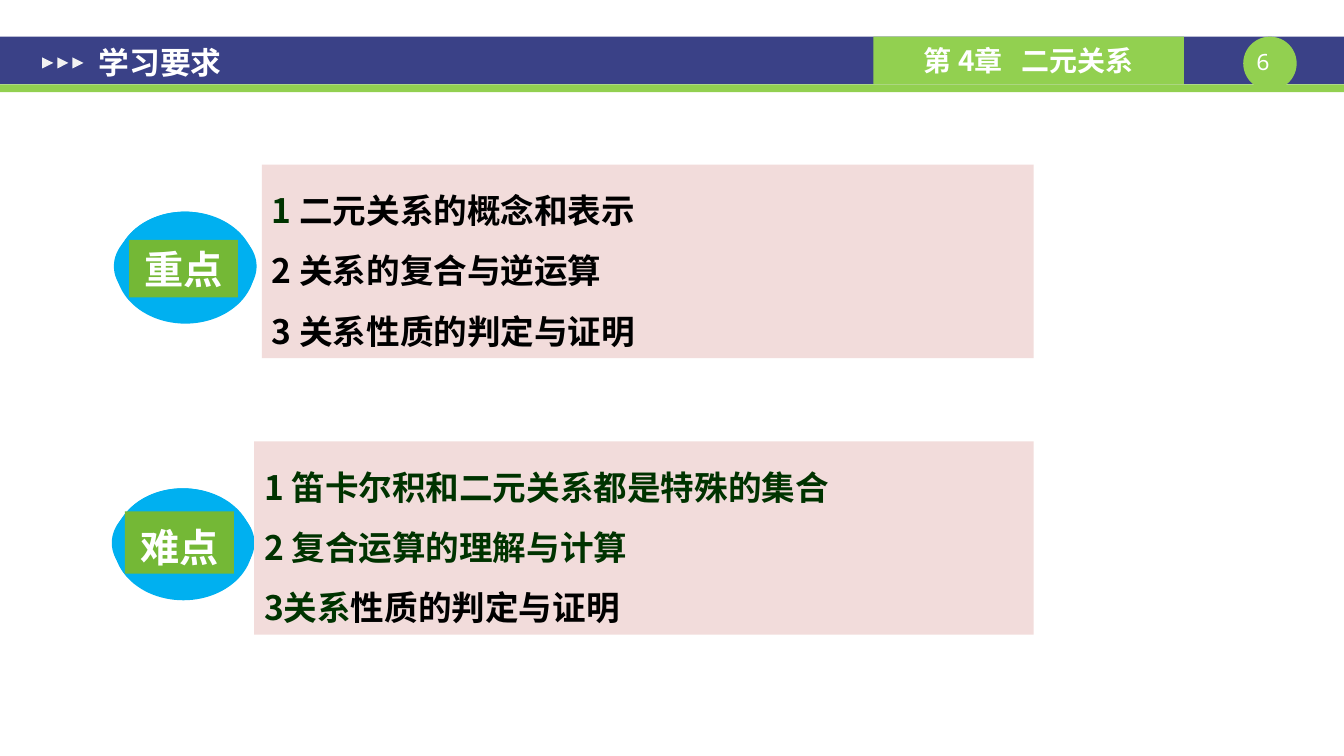
from pptx import Presentation
from pptx.dml.color import RGBColor
from pptx.enum.shapes import MSO_SHAPE
from pptx.enum.text import MSO_ANCHOR, PP_ALIGN
from pptx.oxml.ns import qn
from pptx.util import Pt

RECTANGLE, ELLIPSE, TRIANGLE = (
    MSO_SHAPE.RECTANGLE, MSO_SHAPE.OVAL, MSO_SHAPE.ISOSCELES_TRIANGLE)
LEFT, CENTER = PP_ALIGN.LEFT, PP_ALIGN.CENTER
MIDDLE, TOP = MSO_ANCHOR.MIDDLE, MSO_ANCHOR.TOP

WIDTH, HEIGHT = 960.5, 540
NAVY, LIME, SKY, LEAF, PINK = "3A4187", "92D050", "00B0F0", "74B836", "F2DCDB"
WHITE, PALE, BLACK, FOREST = "FFFFFF", "F2F2F2", "000000", "003300"

# Ovals of one badge: left, top, width, height relative to the badge
BADGE_OVALS = [
    (0, 5, 102, 68), (1.4, 0, 99.4, 80), (2.2, 0, 96.5, 78),
    (3.6, 0.7, 92.2, 72.7), (8.6, 2.9, 82, 59)]


def color(hex_string):
    return RGBColor.from_string(hex_string)


class LessonPage:
    def __init__(self, page, font="Noto Sans CJK SC"):
        self.page = page
        self.font = font

    def shape(self, kind, left, top, width, height, fill, parent=None):
        box = (parent or self.page).shapes.add_shape(
            kind, Pt(left), Pt(top), Pt(width), Pt(height))
        box.shadow.inherit = False
        box.fill.solid()
        box.fill.fore_color.rgb = color(fill)
        box.line.fill.background()
        return box

    def text(self, box, paragraphs, size=24, bold=True, align=LEFT,
             anchor=MIDDLE, line_spacing=1.0, font=None, margins=(7.2, 3.6)):
        """Fill a box; each paragraph is a list of (words, hex colour[, tracking])."""
        frame = box.text_frame
        frame.word_wrap = True
        frame.vertical_anchor = anchor
        frame.margin_left = frame.margin_right = Pt(margins[0])
        frame.margin_top = frame.margin_bottom = Pt(margins[1])
        for index, spans in enumerate(paragraphs):
            para = frame.add_paragraph() if index else frame.paragraphs[0]
            para.alignment = align
            para.line_spacing = line_spacing
            para.space_before = Pt(0)
            for words, hex_string, *tracking in spans:
                span = para.add_run()
                span.text = words
                span.font.size = Pt(size)
                span.font.bold = bold
                span.font.name = font or self.font
                span.font.color.rgb = color(hex_string)
                properties = span.font._element
                east_asian = properties.makeelement(
                    qn("a:ea"), {"typeface": font or self.font})
                properties.find(qn("a:latin")).addnext(east_asian)
                if tracking:
                    properties.set("spc", str(tracking[0] * 100))

    def title(self, words):
        box = self.page.shapes.title
        box.left, box.top, box.width, box.height = Pt(61.2), Pt(28.8), Pt(418), Pt(31.7)
        self.text(box, [[(words, WHITE)]], size=22, margins=(9.4, 5))

    def header(self, chapter, number):
        self.shape(RECTANGLE, 0, 26.2, WIDTH, 34, NAVY)
        self.shape(RECTANGLE, 0, 60.2, WIDTH, 5.6, LIME)
        self.shape(ELLIPSE, 888.5, 26.2, 38.2, 38.2, LIME)
        box = self.page.shapes.add_textbox(Pt(883.5), Pt(34.6), Pt(38.2), Pt(19.4))
        self.text(box, [[(number, WHITE)]], size=16, bold=False, align=CENTER,
                  anchor=TOP, font="Noto Sans Mono", margins=(0, 0))
        tab = self.shape(RECTANGLE, 624.2, 26.2, 222, 34, LIME)
        self.text(tab, [chapter], size=20, align=CENTER)
        for index in range(3):
            arrow = self.shape(TRIANGLE, 30.2 + 10.8 * index, 41, 7.9, 7.9, PALE)
            arrow.rotation = 90

    def badge(self, left, top):
        group = self.page.shapes.add_group_shape()
        for x, y, width, height in BADGE_OVALS:
            self.shape(ELLIPSE, left + x, top + y, width, height, SKY, group)

    def label(self, words, left, top, height, line_spacing=1.0):
        box = self.shape(RECTANGLE, left, top, 77.8, height, LEAF)
        self.text(box, [[(words, WHITE)]], size=28, align=CENTER,
                  line_spacing=line_spacing)

    def panel(self, left, top, width, paragraphs):
        box = self.shape(RECTANGLE, left, top, width, 138.2, PINK)
        self.text(box, paragraphs, anchor=TOP, line_spacing=1.5)


def main():
    deck = Presentation()
    deck.slide_width, deck.slide_height = Pt(WIDTH), Pt(HEIGHT)
    lesson = LessonPage(deck.slides.add_slide(deck.slide_layouts[5]))

    lesson.header([("第 4章", WHITE), (" ", WHITE, 9), ("二元关系", WHITE)], "6")

    lesson.badge(81.4, 151.2)
    lesson.label("重点", 92.2, 171.4, 41)
    lesson.panel(187.2, 117.6, 551.5, [
        [("1 ", FOREST), ("二元关系的概念和表示", BLACK)],
        [("2 关系的复合与逆运算", BLACK)],
        [("3 关系性质的判定与证明", BLACK)]])

    lesson.badge(79.9, 348.8)
    lesson.label("难点", 89.3, 365.2, 44.6, line_spacing=1.2)
    lesson.panel(181.6, 315.2, 557.1, [
        [("1 笛卡尔积和二元关系都是特殊的集合", FOREST)],
        [("2 复合运算的理解与计算", FOREST)],
        [("3关系", FOREST), ("性质的判定与证明", BLACK)]])

    # The title sits above the header bar
    title = lesson.page.shapes.title
    lesson.title("学习要求")
    title._element.getparent().append(title._element)
    deck.save("out.pptx")


if __name__ == "__main__":
    main()
